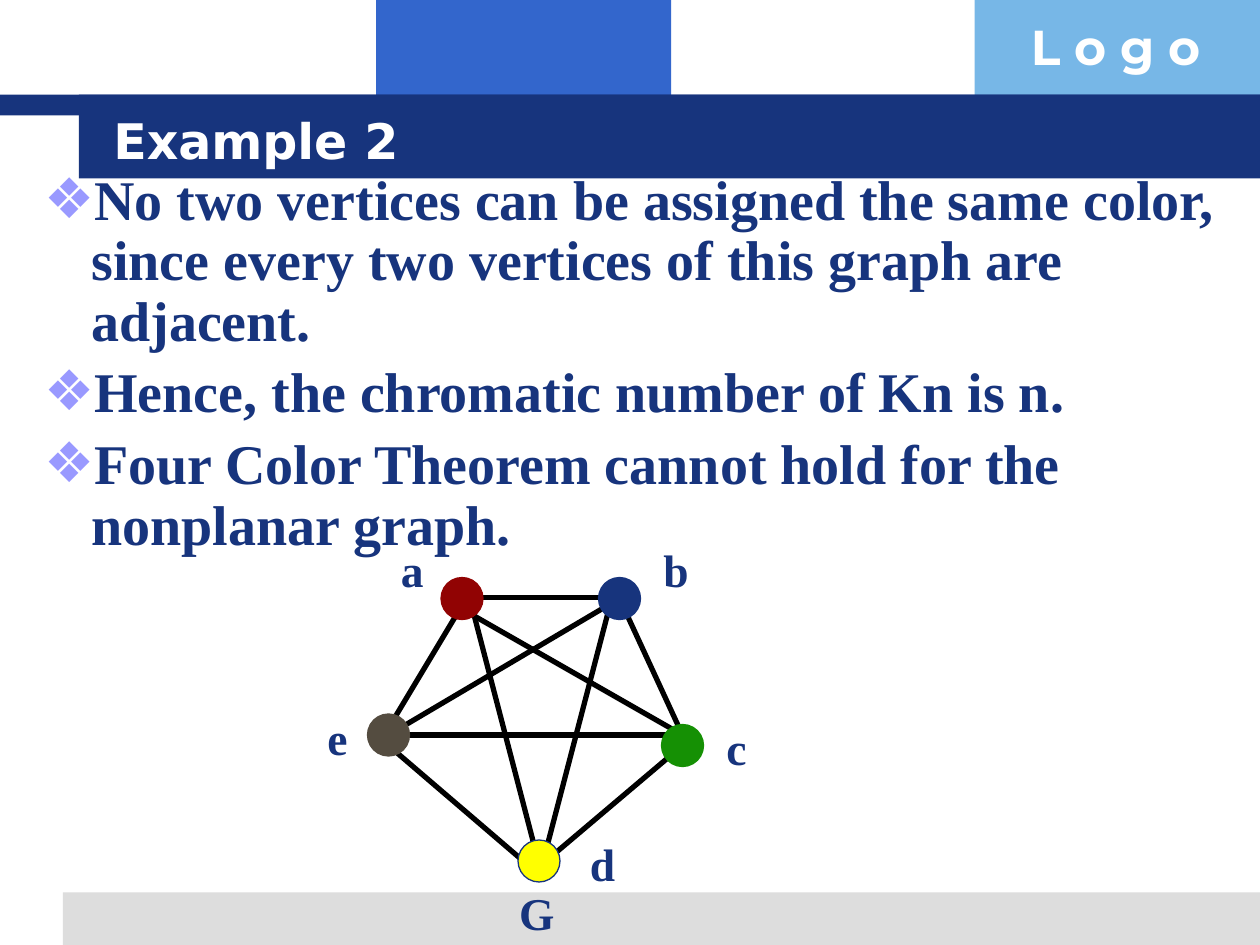
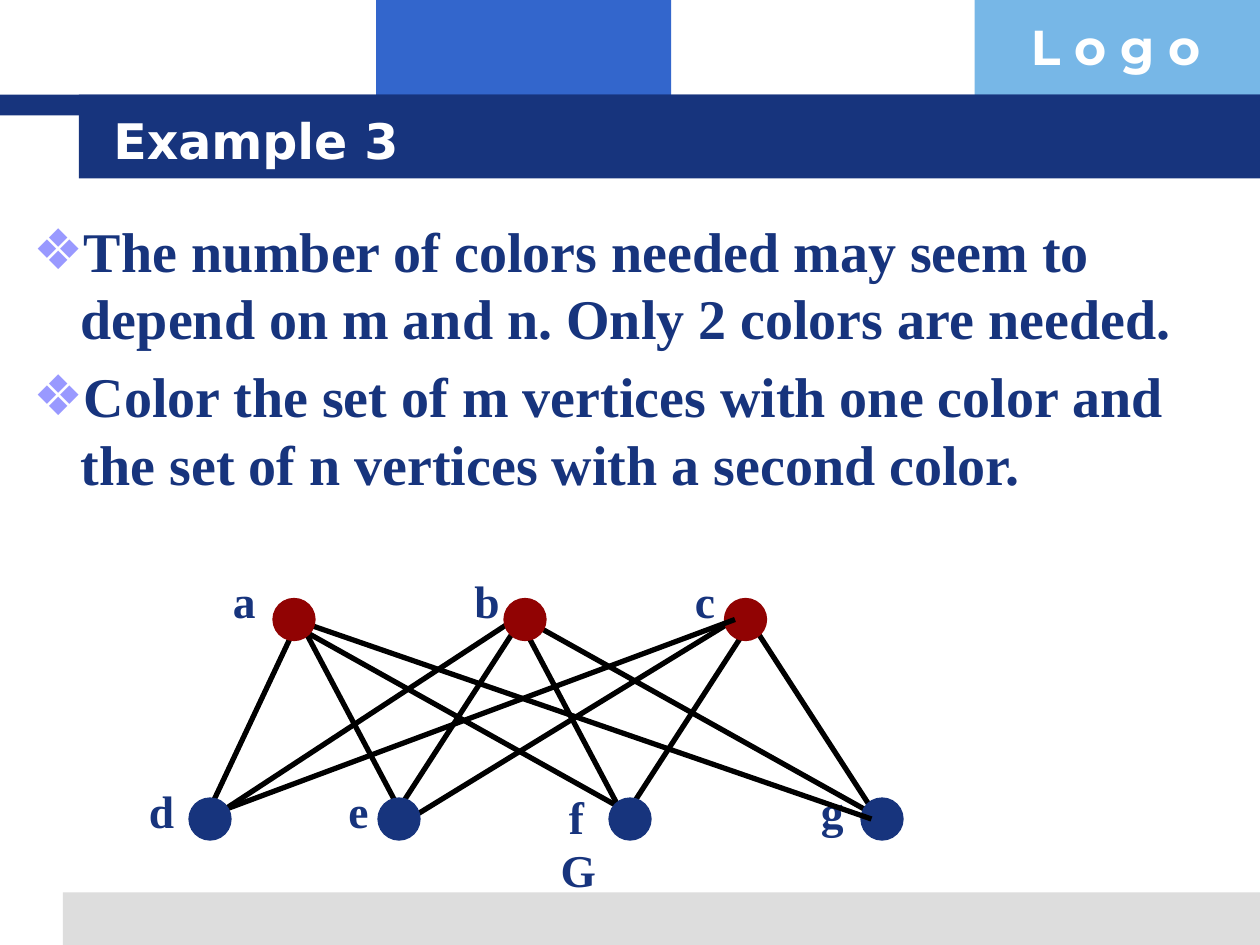
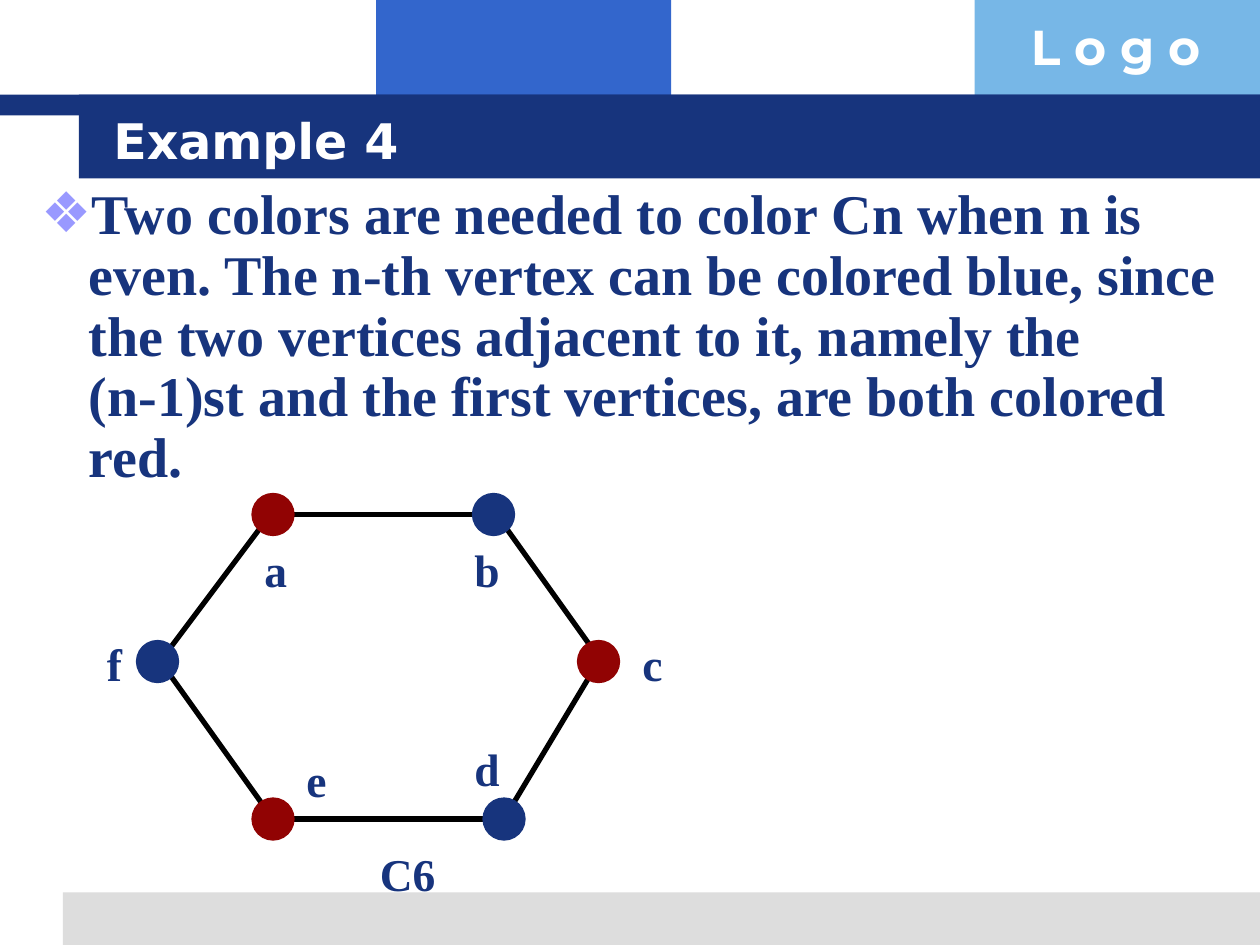
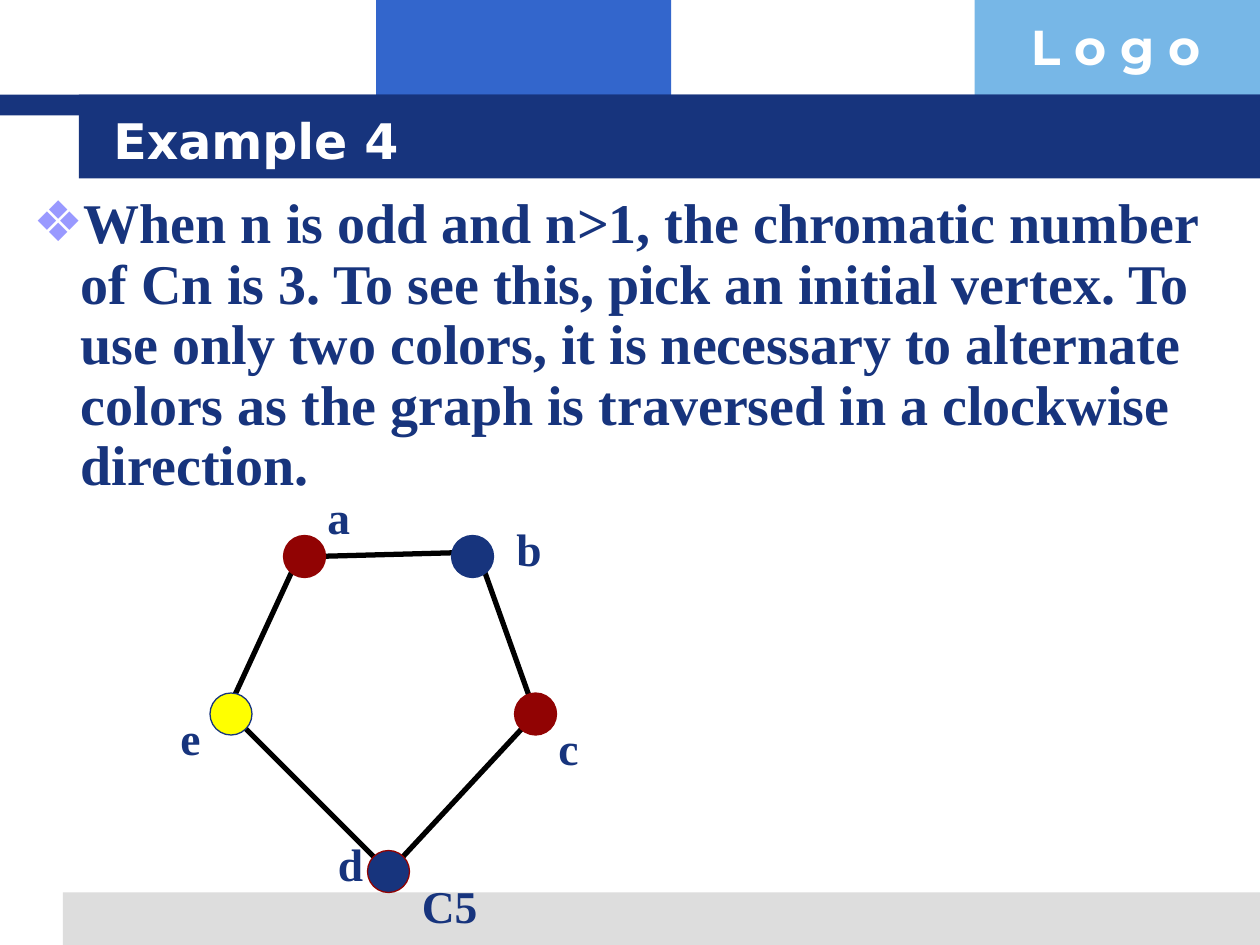
from lxml.etree import SubElement as Sub
from pptx import Presentation
from pptx.dml.color import RGBColor
from pptx.enum.shapes import MSO_CONNECTOR as Conn, MSO_SHAPE as Kind
from pptx.enum.text import MSO_ANCHOR as Anchor, MSO_AUTO_SIZE as Fit, PP_ALIGN as Align
from pptx.oxml.ns import qn
from pptx.util import Pt

NAVY, BLUE, SKY, GREY = "17347D", "3366CC", "77B7E7", "DDDDDD"
LILAC, WHITE, BLACK = "9999FF", "FFFFFF", "000000"
RED, BROWN, GREEN, YELLOW = "910303", "544C40", "159004", "FFFF00"
SERIF = "Times New Roman"

GRID = 6  # points per step; graphs are laid out on this grid
NODE = 4  # node diameter in steps
WIDTHS = {"a": 27.4, "b": 28.8, "c": 25.9, "d": 28.8, "e": 25.9, "f": 23,
          "g": 27.4, "G": 34.6, "C6": 46, "C5": 46}

BANDS = [  # left, top, width, height, colour
    (215, 0, 168.5, 66, BLUE),
    (557, 0, 163, 66, SKY),
    (36, 510, 684, 30, GREY),
    (0, 54, 720, 12, NAVY),
    (45, 54, 675, 48, NAVY),
]


def rgb(code):
    return RGBColor.from_string(code)


def step(n):
    return Pt(GRID * n)


def style(para, size, face, color):
    font = para.font
    font.size, font.name, font.bold = Pt(size), face, True
    font.color.rgb = rgb(color)


def place(shape, box):
    shape.left, shape.top, shape.width, shape.height = map(Pt, box)


def solid(slide, kind, box, fill, line=None):
    shape = slide.shapes.add_shape(kind, *map(Pt, box))
    shape.shadow.inherit = False
    shape.fill.solid()
    shape.fill.fore_color.rgb = rgb(fill)
    if line:
        shape.line.color.rgb = rgb(line)
        shape.line.width = Pt(0.75)
    else:
        shape.line.fill.background()
    return shape


def label(slide, text, box, size=26, face=SERIF, color=NAVY, wrap=False):
    shape = slide.shapes.add_textbox(*map(Pt, box))
    frame = shape.text_frame
    frame.word_wrap = wrap
    frame.auto_size = Fit.SHAPE_TO_FIT_TEXT
    frame.text = text
    style(frame.paragraphs[0], size, face, color)
    return shape


def edge(slide, x1, y1, x2, y2):
    line = slide.shapes.add_connector(Conn.STRAIGHT, *map(step, (x1, y1, x2, y2)))
    line.line.color.rgb = rgb(BLACK)
    line.line.width = Pt(3)
    Sub(line._element.spPr, qn("a:effectLst"))


def node(slide, fill, x, y, line=None):
    box = [GRID * n for n in (x, y, NODE, NODE)]
    solid(slide, Kind.OVAL, box, fill, line or fill)


def graph(slide, edges, nodes, names=()):
    for text, x, y in names:
        label(slide, text, (GRID * x, GRID * y, WIDTHS[text], 38))
    for ends in edges:
        edge(slide, *ends)
    for spot in nodes:
        node(slide, *spot)


def frame_up(slide, layout):
    """Build the bands and the logo word, and move them behind the layout's placeholders."""
    parts = [solid(slide, Kind.RECTANGLE, box, fill) for *box, fill in BANDS]
    parts.append(label(slide, "L o g o", (582, 6, 139, 41), 28, "Montserrat", WHITE, True))
    for i, part in enumerate(parts):
        item = part._element
        item.nvSpPr.cNvPr.set("id", str(20 + i))
        layout.shapes.element.insert(2 + i, item)


def bullet(para):
    props = para._p.get_or_add_pPr()
    tint = Sub(props, qn("a:buClr"))
    Sub(tint, qn("a:srgbClr"), val=LILAC)
    Sub(props, qn("a:buChar"), char="❖")


def page(deck, layout, title, box, items, spacing=0.9):
    slide = deck.slides.add_slide(layout)
    head, body = slide.shapes.title, slide.placeholders[1]
    place(head, (57.6, 57.6, 614, 44.6))
    head.text_frame.text = title
    head.text_frame.auto_size = Fit.NONE
    head.text_frame.vertical_anchor = Anchor.MIDDLE
    para = head.text_frame.paragraphs[0]
    para.alignment = Align.LEFT
    style(para, 28, "DejaVu Sans", WHITE)

    place(body, box)
    body.text_frame.text = "\n".join(items)
    body.text_frame.auto_size = Fit.NONE
    for para in body.text_frame.paragraphs:
        para.line_spacing = spacing
        style(para, 32, SERIF, NAVY)
        bullet(para)
    return slide


def main():
    deck = Presentation()
    deck.slide_width, deck.slide_height = Pt(720), Pt(540)
    layout = deck.slide_layouts[1]

    slide = page(deck, layout, "Example 2", (18, 94.5, 696, 234), [
        "No two vertices can be assigned the same color, since every two vertices "
        "of this graph are adjacent.",
        "Hence, the chromatic number of Kn is n.",
        "Four Color Theorem cannot hold for the nonplanar graph."])
    frame_up(slide, layout)
    graph(
        slide,
        [(36, 71, 45, 56), (44, 56.9, 60, 56.9), (37, 71, 51, 83), (65, 70, 59, 57),
         (52, 82, 65, 71), (51, 81, 45, 58), (52, 81, 58, 58), (38, 70, 64, 70),
         (37, 70, 59, 57), (44, 58, 65, 70)],
        [(RED, 42, 55), (BROWN, 35, 68), (YELLOW, 49.33, 80, NAVY), (GREEN, 63, 69),
         (NAVY, 57, 55)],
        [("a", 37, 51), ("b", 62, 51), ("d", 55, 79), ("e", 30, 67), ("c", 68, 68),
         ("G", 48.25, 83.67)])

    slide = page(deck, layout, "Example 3", (12, 120, 696, 192), [
        "The number of colors needed may seem to depend on m and n. "
        "Only 2 colors are needed.",
        "Color the set of m vertices with one color and the set of n vertices "
        "with a second color."], 1.0)
    graph(
        slide,
        [(20, 77, 28, 60), (29, 60, 38, 77), (72, 60, 83, 77), (20, 78, 49, 59),
         (50, 60, 59, 77), (39, 78, 70, 59), (38, 77, 49, 60), (60, 77, 71, 60),
         (50, 59, 84, 78)],
        [(NAVY, 82, 76), (RED, 69, 57)],
        [("a", 21, 54), ("b", 44, 54), ("G", 52.2, 79.56), ("c", 65, 54),
         ("d", 13, 74), ("e", 32, 74), ("f", 53, 74.6), ("g", 77, 74)])
    # These edges run over the nodes c and g
    graph(
        slide,
        [(28, 59, 83, 78), (27, 59, 61, 78), (19, 78, 70, 59)],
        [(RED, 48, 57), (RED, 26, 57), (NAVY, 36, 76), (NAVY, 18, 76), (NAVY, 58, 76)])

    slide = page(deck, layout, "Example 4", (16.5, 103, 696, 150), [
        "Two colors are needed to color Cn when n is even. The n-th vertex can be "
        "colored blue, since the two vertices adjacent to it, namely the (n-1)st "
        "and the first vertices, are both colored red."])
    graph(
        slide,
        [(16, 62, 25, 50), (16, 64, 26, 78), (48, 50, 58, 64), (48, 78, 57, 63),
         (27, 78, 49, 78), (26, 49, 45, 49)],
        [(RED, 24, 76), (NAVY, 45, 47), (RED, 24, 47), (NAVY, 13, 61),
         (NAVY, 46, 76), (RED, 55, 61)],
        [("a", 24, 51), ("b", 44, 51), ("C6", 35, 80), ("c", 60, 60), ("d", 44, 70),
         ("e", 28, 71), ("f", 9, 60)])

    slide = page(deck, layout, "Example 4", (12, 108, 696, 180), [
        "When n is odd and n>1, the chromatic number of Cn is 3. To see this, pick "
        "an initial vertex. To use only two colors, it is necessary to alternate "
        "colors as the graph is traversed in a clockwise direction."])
    graph(
        slide,
        [(22, 67, 28, 54), (23, 69, 36, 82), (46, 54, 51, 68), (38, 82, 51, 68),
         (30, 53, 45, 52.6)],
        [(NAVY, 35, 81, RED), (NAVY, 43, 51), (RED, 27, 51), (YELLOW, 20, 66, NAVY),
         (RED, 49, 66)],
        [("a", 30, 46), ("b", 48, 49), ("C5", 39, 83), ("c", 52, 68), ("e", 16, 67),
         ("d", 31, 79)])

    deck.save("out.pptx")


if __name__ == "__main__":
    main()
